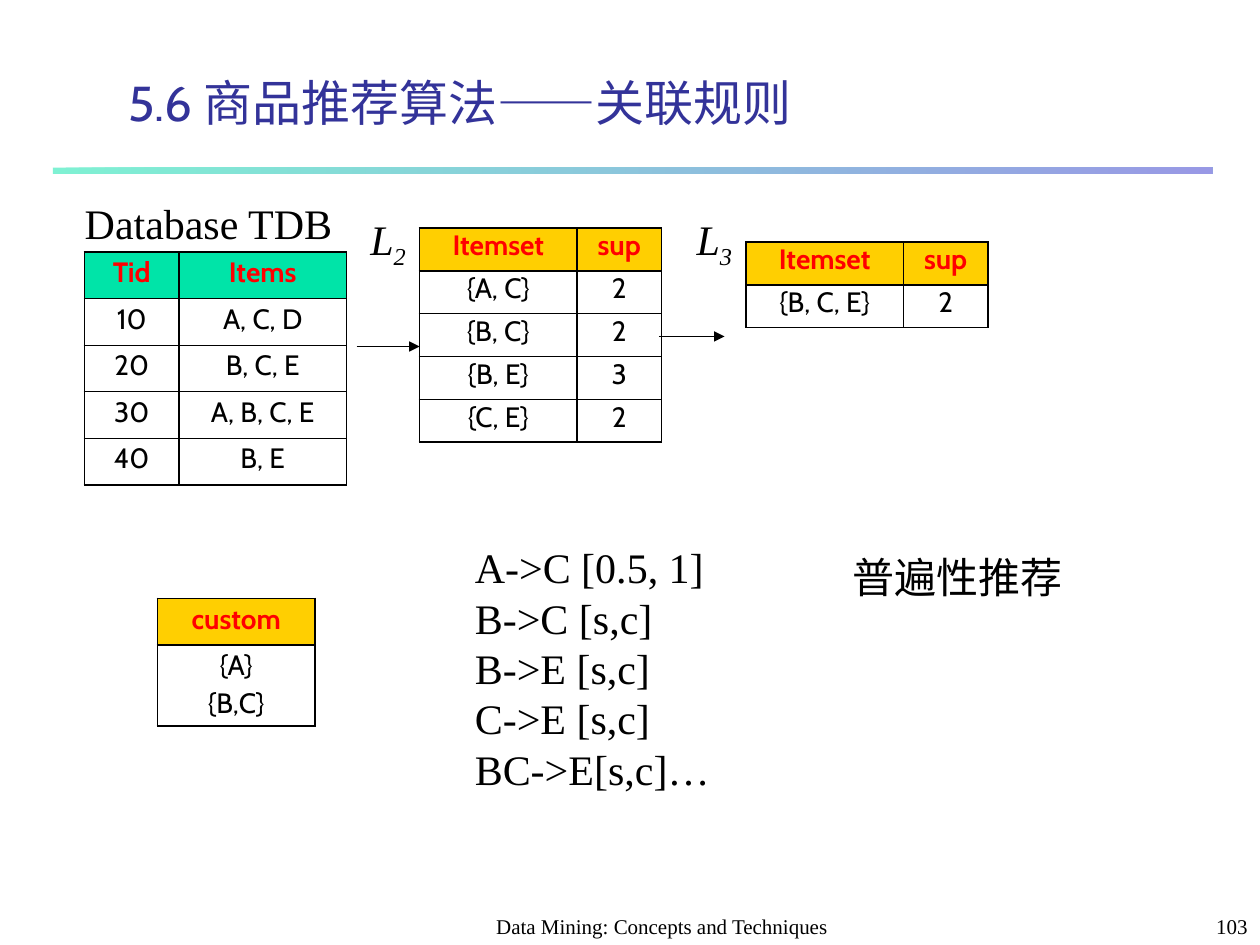
from dataclasses import dataclass

from lxml.etree import SubElement
from pptx import Presentation
from pptx.dml.color import RGBColor
from pptx.enum.shapes import MSO_CONNECTOR, MSO_SHAPE
from pptx.enum.text import MSO_ANCHOR as Anchor, MSO_AUTO_SIZE as AutoSize, PP_ALIGN as Align
from pptx.oxml.ns import qn
from pptx.util import Inches, Pt

BLACK = RGBColor(0x00, 0x00, 0x00)
RED = RGBColor(0xFF, 0x00, 0x00)
NAVY = RGBColor(0x33, 0x33, 0x99)
BLUE = RGBColor(0x33, 0x33, 0xCC)
GREEN = RGBColor(0x00, 0xE4, 0xA8)
YELLOW = RGBColor(0xFF, 0xCF, 0x01)
SERIF = "Times New Roman"
SANS = "Cabin"
THICK, THIN = 1.08, 0.45


@dataclass
class Grid:
    left: float
    top: float
    columns: list[float]
    row_heights: list[float]
    rows: list[list[str]]
    header_color: RGBColor = YELLOW
    line_spacing: float = 0.8


@dataclass
class Label:
    box: tuple[float, float, float, float]
    text: str
    size: int = 24
    align: Align = Align.LEFT
    anchor: Anchor = Anchor.TOP
    wrap: bool = True
    grow: bool = True
    italic: bool = False
    subscript: str = ""


@dataclass
class Arrow:
    start: float
    end: float
    y: float


GRIDS = [
    Grid(0.67, 2, [0.75, 1.33], [0.37] * 5,
         [["Tid", "Items"], ["10", "A, C, D"], ["20", "B, C, E"],
          ["30", "A, B, C, E"], ["40", "B, E"]], GREEN, 0.9),
    Grid(3.33, 1.81, [1.25, 0.67], [0.34] * 5,
         [["Itemset", "sup"], ["{A, C}", "2"], ["{B, C}", "2"],
          ["{B, E}", "3"], ["{C, E}", "2"]]),
    Grid(1.25, 4.75, [1.25], [0.37, 0.64], [["custom"], ["{A}\n{B,C}"]], line_spacing=0.9),
    Grid(5.92, 1.92, [1.25, 0.67], [0.34] * 2, [["Itemset", "sup"], ["{B, C, E}", "2"]]),
]

LABELS = [
    Label((0.57, 1.52, 2.17, 0.5), "Database TDB", align=Align.CENTER,
          anchor=Anchor.MIDDLE, wrap=False),
    *(Label((left, 1.64, 0.48, 0.56), "L", align=Align.CENTER, anchor=Anchor.MIDDLE,
            wrap=False, italic=True, subscript=level)
      for left, level in [(2.84, "2"), (5.43, "3")]),
    Label((3.67, 7.08, 3.17, 0.42), "Data Mining: Concepts and Techniques", 12,
          Align.CENTER, Anchor.BOTTOM, grow=False),
    Label((7.92, 7.08, 2.08, 0.42), "103", 12, Align.RIGHT, Anchor.BOTTOM, grow=False),
    Label((3.67, 4.25, 2.33, 2.1),
          "A->C [0.5, 1]\nB->C [s,c]\nB->E [s,c]\nC->E [s,c]\nBC->E[s,c]…"),
    Label((6.67, 4.33, 2.33, 0.5), "普遍性推荐"),
]

ARROWS = [Arrow(2.83, 3.33, 2.75), Arrow(5.23, 5.75, 2.67)]


def write_text(frame, text: str, *, size: int, font: str = SERIF, color: RGBColor = BLACK,
               bold: bool = False, italic: bool = False, align: Align = Align.LEFT,
               line_spacing: float | None = None, space_before: float = 0,
               subscript: str = "") -> None:
    for index, line in enumerate(text.split("\n")):
        paragraph = frame.add_paragraph() if index else frame.paragraphs[0]
        paragraph.alignment = align
        paragraph.space_before = Pt(space_before if index else 0)
        if line_spacing:
            paragraph.line_spacing = line_spacing
        for part in filter(None, (line, subscript)):
            run = paragraph.add_run()
            run.text = part
            run.font.size = Pt(size)
            run.font.name = font
            run.font.bold = bold
            run.font.italic = italic
            run.font.color.rgb = color
    if subscript:
        run._r.get_or_add_rPr().set("baseline", "-25000")


def draw_title(slide) -> None:
    title = slide.shapes.title
    title.left, title.top, title.width, title.height = map(Inches, (0.92, 0.42, 8.52, 0.67))
    title.text_frame.auto_size = AutoSize.NONE
    title.text_frame.vertical_anchor = Anchor.BOTTOM
    write_text(title.text_frame, "5.6 商品推荐算法——关联规则", size=28, font=SANS, color=NAVY)


def draw_rule(slide) -> None:
    rule = slide.shapes.add_shape(MSO_SHAPE.RECTANGLE, *map(Inches, (0.42, 1.33, 9.2, 0.05)))
    rule.shadow.inherit = False
    rule.line.fill.background()
    rule.fill.gradient()
    rule.fill.gradient_angle = 0
    for stop, color in zip(rule.fill.gradient_stops, (GREEN, BLUE)):
        stop.color.rgb = color
    for color_element in rule._element.spPr.iter(qn("a:srgbClr")):
        SubElement(color_element, qn("a:alpha"), val="50000")


def draw_label(slide, label: Label) -> None:
    frame = slide.shapes.add_textbox(*map(Inches, label.box)).text_frame
    frame.word_wrap = label.wrap
    frame.auto_size = AutoSize.SHAPE_TO_FIT_TEXT if label.grow else AutoSize.NONE
    frame.vertical_anchor = label.anchor
    write_text(frame, label.text, size=label.size, italic=label.italic, align=label.align,
               subscript=label.subscript)


def draw_borders(cell, top: float, bottom: float) -> None:
    properties = cell._tc.get_or_add_tcPr()
    for side, width in (("L", THICK), ("R", THICK), ("T", top), ("B", bottom)):
        line = SubElement(properties, qn(f"a:ln{side}"), w=str(Pt(width)))
        SubElement(SubElement(line, qn("a:solidFill")), qn("a:srgbClr"), val=str(BLACK))


def draw_grid(slide, grid: Grid) -> None:
    lengths = (grid.left, grid.top, sum(grid.columns), sum(grid.row_heights))
    table = slide.shapes.add_table(len(grid.rows), len(grid.columns),
                                   *map(Inches, lengths)).table
    for column, width in zip(table.columns, grid.columns):
        column.width = Inches(width)
    for row, height in zip(table.rows, grid.row_heights):
        row.height = Inches(height)
    last = len(grid.rows) - 1
    for row_index, values in enumerate(grid.rows):
        header = row_index == 0
        for column_index, value in enumerate(values):
            cell = table.cell(row_index, column_index)
            draw_borders(cell, THICK if row_index < 2 else THIN,
                         THICK if row_index in (0, last) else THIN)
            if header:
                cell.fill.solid()
                cell.fill.fore_color.rgb = grid.header_color
            else:
                cell.fill.background()
            write_text(cell.text_frame, value, size=16, font=SANS, bold=header,
                       color=RED if header else BLACK, align=Align.CENTER,
                       line_spacing=grid.line_spacing, space_before=4)


def draw_arrow(slide, arrow: Arrow) -> None:
    ends = map(Inches, (arrow.start, arrow.y, arrow.end, arrow.y))
    connector = slide.shapes.add_connector(MSO_CONNECTOR.STRAIGHT, *ends)
    connector.line.color.rgb = BLACK
    connector.line.width = Pt(0.75)
    SubElement(connector.line._get_or_add_ln(), qn("a:tailEnd"), type="triangle")
    SubElement(connector._element.spPr, qn("a:effectLst"))


def main() -> None:
    presentation = Presentation()
    presentation.slide_width, presentation.slide_height = Inches(10), Inches(7.5)
    slide = presentation.slides.add_slide(presentation.slide_layouts[5])
    draw_rule(slide)
    draw_title(slide)
    for grid in GRIDS:
        draw_grid(slide, grid)
    for label in LABELS:
        draw_label(slide, label)
    for arrow in ARROWS:
        draw_arrow(slide, arrow)
    presentation.save("out.pptx")


if __name__ == "__main__":
    main()
